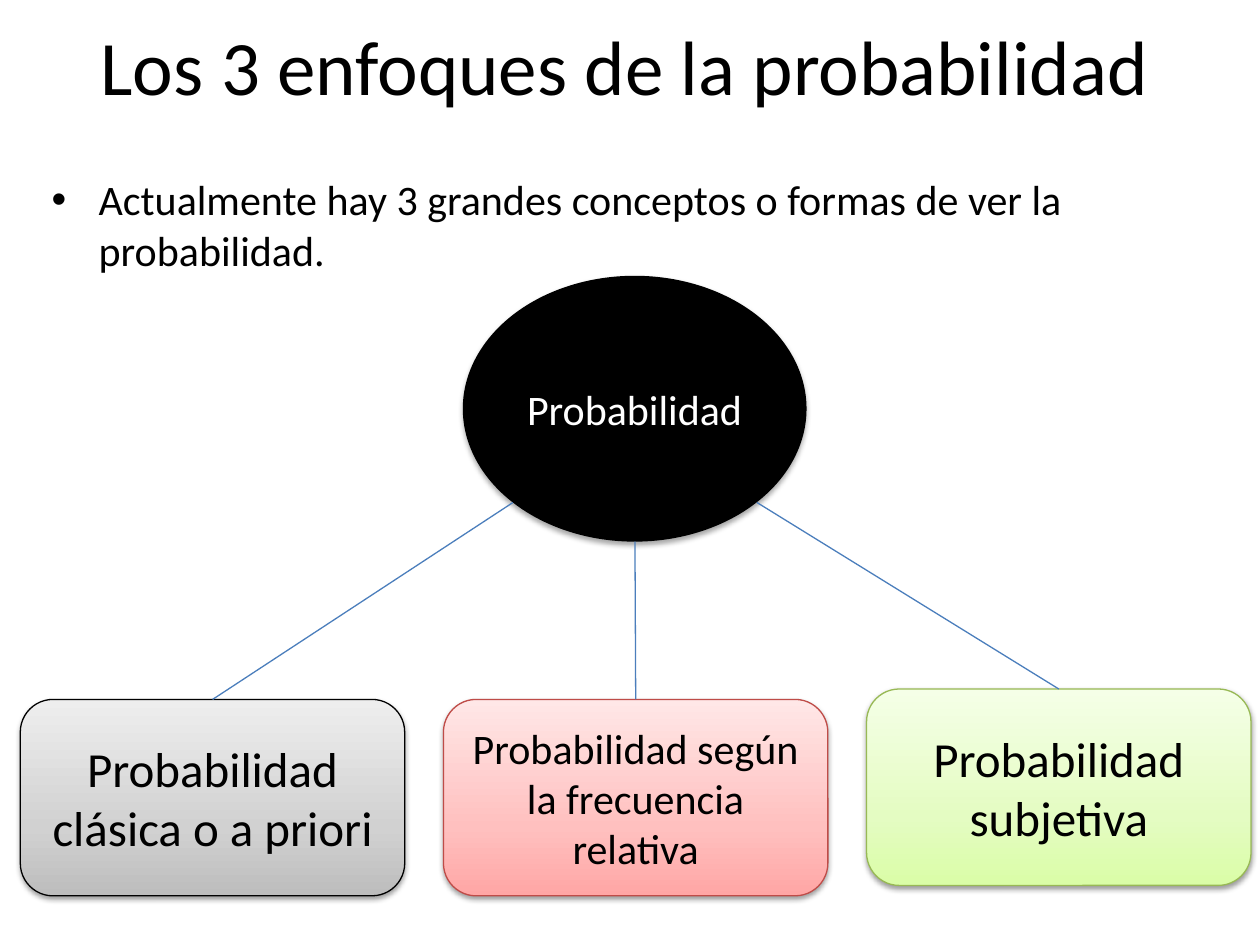
from lxml import etree
from pptx import Presentation
from pptx import util as u
from pptx.dml.color import RGBColor
from pptx.enum import shapes, text
from pptx.oxml import parse_xml
from pptx.oxml.ns import nsdecls, qn

COLORS = {"black": "000000", "white": "FFFFFF", "link": "4B7EBC",
          "red": "BF4C48", "green": "98B955"}


def write(frame, wording, size, color="black", align=text.PP_ALIGN.CENTER):
    frame.word_wrap = True
    frame.text = wording
    paragraph = frame.paragraphs[0]
    paragraph.alignment = align
    paragraph.font.size = u.Pt(size)
    paragraph.font.name = "Calibri"
    paragraph.font.color.rgb = RGBColor.from_string(COLORS[color])
    return paragraph


def add_shadow(shape, distance, opacity):
    shape.shadow.inherit = False
    effects = shape._element.spPr.find(qn("a:effectLst"))
    effects.append(parse_xml(
        f'<a:outerShdw {nsdecls("a")} blurRad="{u.Pt(3.1)}" dist="{u.Pt(distance)}" '
        f'dir="5400000" rotWithShape="0"><a:srgbClr val="{COLORS["black"]}">'
        f'<a:alpha val="{opacity * 1000}"/></a:srgbClr></a:outerShdw>'))


prs = Presentation()
prs.slide_width, prs.slide_height = u.Cm(25.4), u.Cm(19.05)
slide = prs.slides.add_slide(prs.slide_layouts[5])

title = slide.shapes.title
title.left, title.top, title.width, title.height = u.Cm(1), u.Cm(0), u.Cm(23.2), u.Cm(2.6)
title.text_frame.vertical_anchor = text.MSO_ANCHOR.MIDDLE
write(title.text_frame, "Los 3 enfoques de la probabilidad", 44)

intro = slide.shapes.add_textbox(u.Cm(0.79), u.Cm(3.38), u.Cm(21.6), u.Cm(12.7))
sentence = write(intro.text_frame,
                 "Actualmente hay 3 grandes conceptos o formas de ver la probabilidad.",
                 24, align=text.PP_ALIGN.LEFT)
sentence.space_before = u.Pt(4.8)
indent = sentence._p.get_or_add_pPr()
indent.set("marL", str(u.Cm(0.95)))
indent.set("indent", str(-u.Cm(0.95)))
etree.SubElement(indent, qn("a:buFont")).set("typeface", "Arial")
etree.SubElement(indent, qn("a:buChar")).set("char", "•")
indent.append(indent.find(qn("a:defRPr")))

concept = slide.shapes.add_shape(shapes.MSO_SHAPE.OVAL,
                                 u.Cm(9.33), u.Cm(5.56), u.Cm(6.93), u.Cm(5.36))
concept.fill.solid()
concept.fill.fore_color.rgb = RGBColor.from_string(COLORS["black"])
concept.line.fill.background()
add_shadow(concept, 1.8, 35)
write(concept.text_frame, "Probabilidad", 24, "white")

approaches = [
    ("Probabilidad clásica o a priori", 28, 14.1, "black",
     ("BDBDBD", "D1D1D1", "EEEEEE"), (10.34, 10.13)),
    ("Probabilidad según la frecuencia relativa", 24, 14.1, "red",
     ("FFA6A5", "FFC0BF", "FFE7E7"), (12.8, 10.92)),
    ("Probabilidad subjetiva", 28, 13.89, "green",
     ("DAFDA7", "E4FCC2", "F5FFE7"), (15.26, 10.13)),
]
for column, (wording, size, top, outline, shades, start) in enumerate(approaches):
    approach = slide.shapes.add_shape(shapes.MSO_SHAPE.ROUNDED_RECTANGLE,
                                      u.Cm(0.41 + 8.53 * column), u.Cm(top),
                                      u.Cm(7.75), u.Cm(3.96))
    approach.fill.gradient()
    gradient = approach._element.spPr.find(qn("a:gradFill"))
    stops = "".join(f'<a:gs pos="{position}000"><a:srgbClr val="{shade}"/></a:gs>'
                    for position, shade in zip((0, 35, 100), shades))
    gradient.getparent().replace(gradient, parse_xml(
        f'<a:gradFill {nsdecls("a")} rotWithShape="1"><a:gsLst>{stops}</a:gsLst>'
        '<a:lin ang="16200000" scaled="1"/></a:gradFill>'))
    approach.line.color.rgb = RGBColor.from_string(COLORS[outline])
    approach.line.width = u.Pt(0.75)
    add_shadow(approach, 1.6, 38)
    write(approach.text_frame, wording, size)

    x, y = map(u.Cm, start)
    branch = slide.shapes.add_connector(shapes.MSO_CONNECTOR.STRAIGHT, x, y, x, y)
    branch.end_connect(approach, 0)
    branch.line.color.rgb = RGBColor.from_string(COLORS["link"])
    branch.line.width = u.Pt(0.75)
    etree.SubElement(branch._element.spPr, qn("a:effectLst"))

prs.save("out.pptx")
